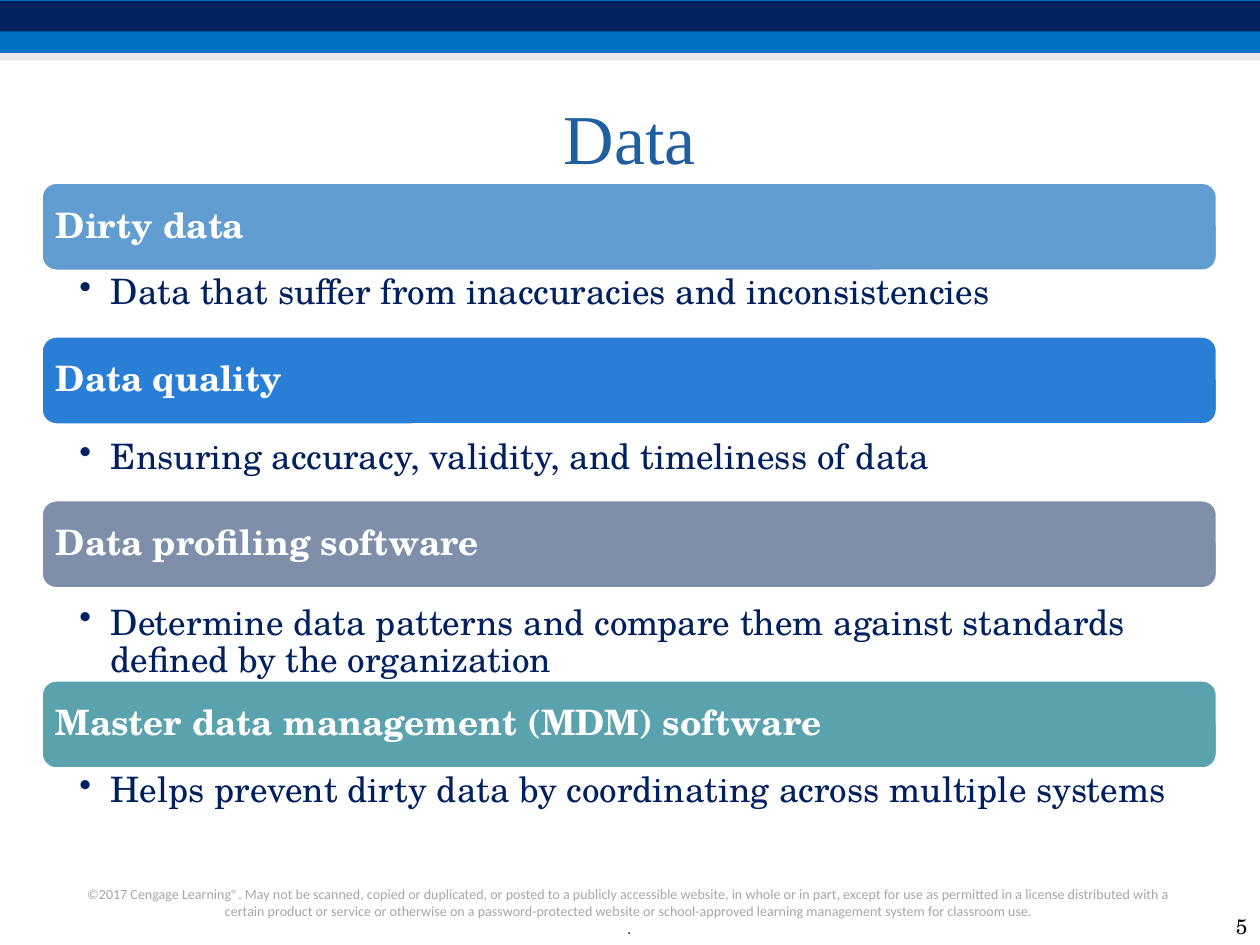
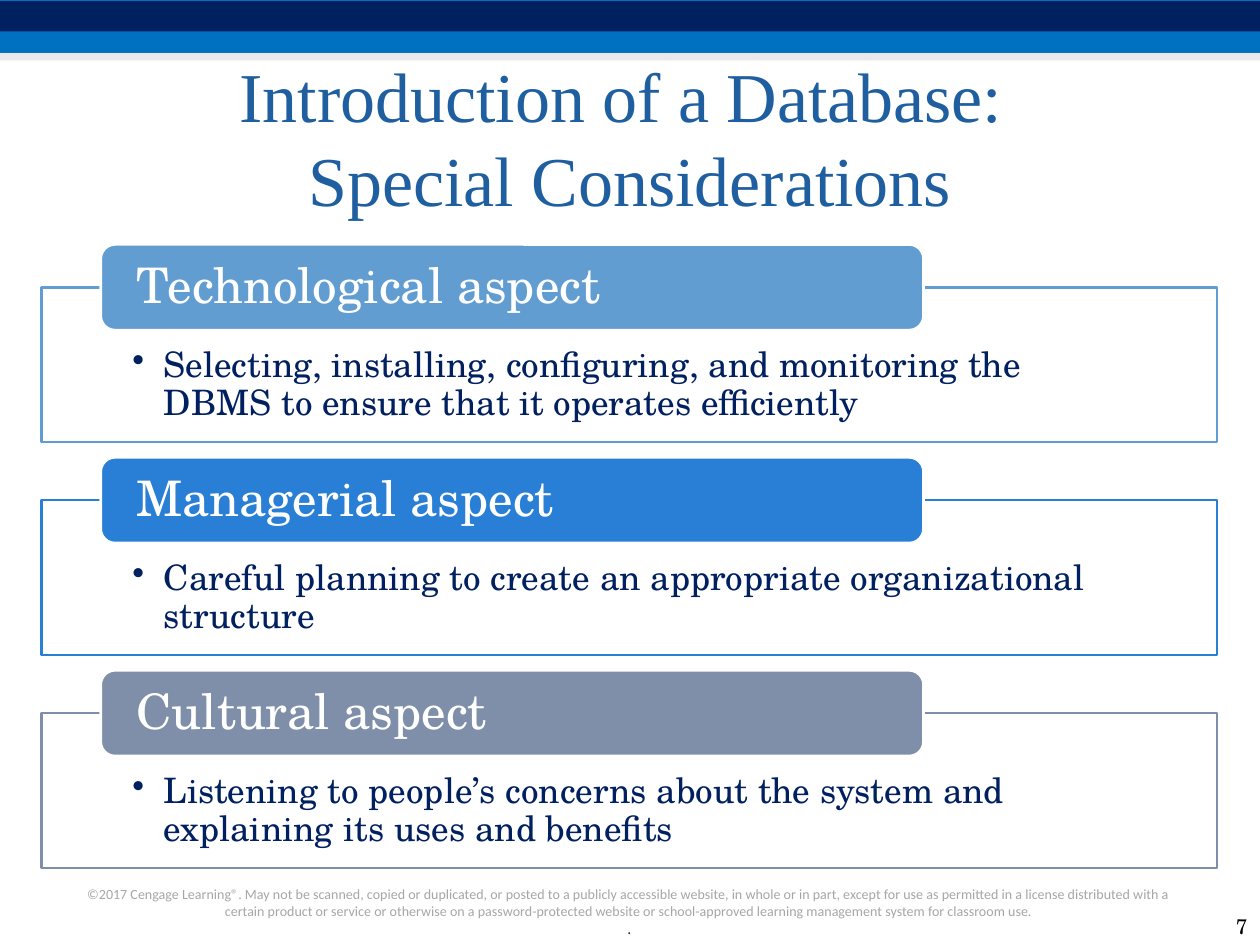
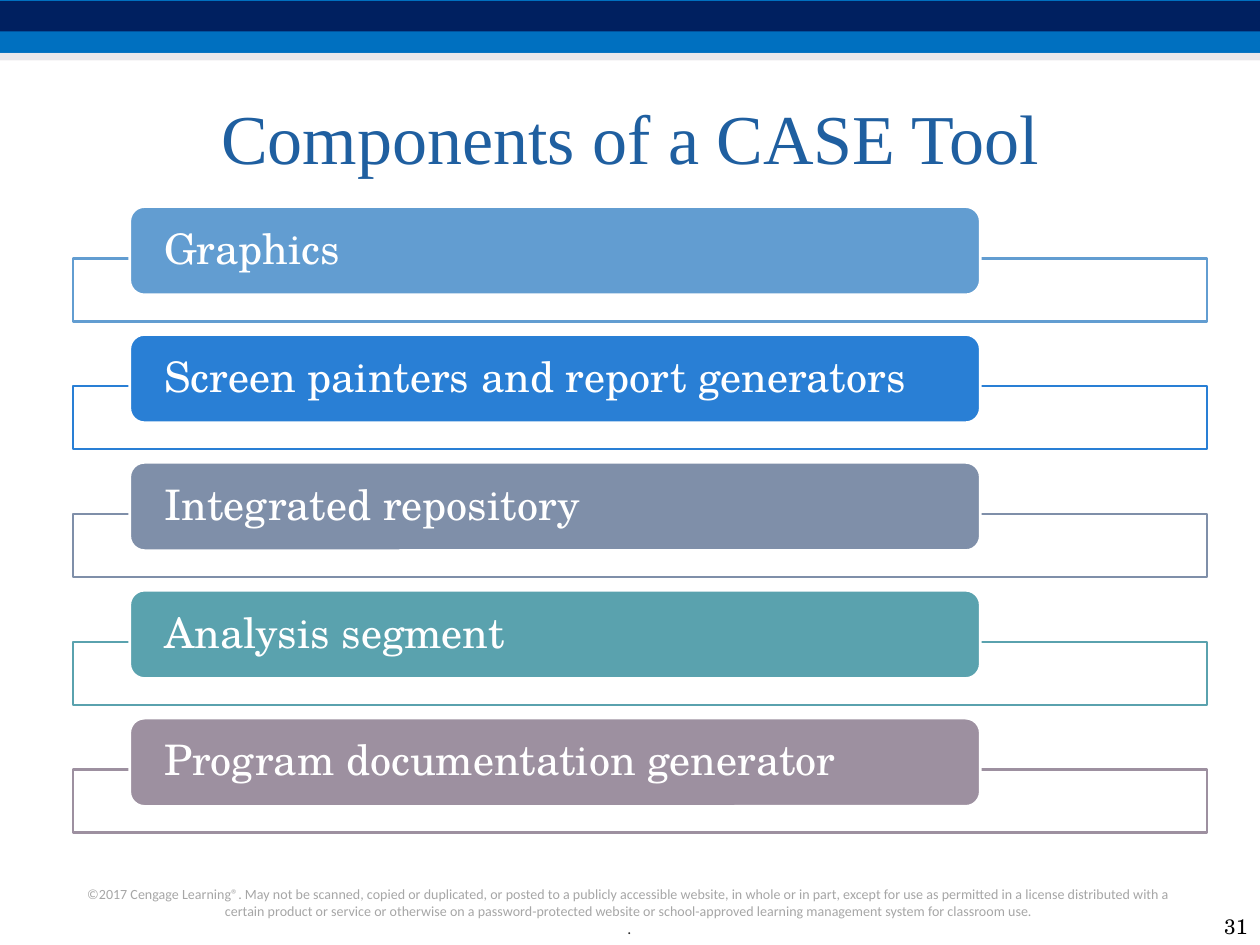
from dataclasses import dataclass

from lxml import etree
from pptx import Presentation
from pptx.dml.color import RGBColor
from pptx.enum.shapes import MSO_SHAPE as Preset
from pptx.enum.text import MSO_ANCHOR as Anchor, PP_ALIGN as Align
from pptx.oxml.ns import qn
from pptx.util import Emu, Inches, Pt


@dataclass(frozen=True)
class Theme:
    # Colours
    white: str = "FFFFFF"
    black: str = "000000"
    title: str = "1F5FA0"
    navy: str = "002060"
    blue: str = "0070C0"
    pale: str = "D8D3D9"
    notice: str = "A6A6A6"
    notice_end: str = "262626"
    accents: tuple = ("629DD1", "297FD5", "7F8FA9", "5AA2AE", "9D90A0")
    # Fonts
    title_font: str = "Times New Roman"
    body_font: str = "TeX Gyre Schola"
    notice_font: str = "Calibri"
    # Type sizes
    title_size: int = 40
    aspect_size: int = 28
    component_size: int = 24
    body_size: int = 20
    number_size: int = 12
    notice_end_size: int = 9
    notice_size: int = 8
    # Lines and spacing
    line_width: float = 1.5
    line_spacing: float = 0.9


THEME = Theme()
DEFAULT_MARGINS = (0.1, 0.05, 0.1, 0.05)

NOTICE = (
    "©2017 Cengage Learning®. May not be scanned, copied or duplicated, or posted to a "
    "publicly accessible website, in whole or in part, except for use as permitted in a "
    "license distributed with a certain product or service or otherwise on a "
    "password-protected website or school-approved learning management system for "
    "classroom use."
)

# Term, definition, top of the bar, top of the definition
DATA_TERMS = [
    ("Dirty data", "Data that suffer from inaccuracies and inconsistencies", 1.45, 2.15),
    ("Data quality", "Ensuring accuracy, validity, and timeliness of data", 2.67, 3.46),
    ("Data profiling software",
     "Determine data patterns and compare them against standards defined by the organization",
     3.97, 4.77),
    ("Master data management (MDM) software",
     "Helps prevent dirty data by coordinating across multiple systems", 5.4, 6.1),
]

ASPECTS = [
    ("Technological aspect",
     "Selecting, installing, configuring, and monitoring the DBMS to ensure that it "
     "operates efficiently"),
    ("Managerial aspect",
     "Careful planning to create an appropriate organizational structure"),
    ("Cultural aspect",
     "Listening to people’s concerns about the system and explaining its uses and benefits"),
]

COMPONENTS = [
    "Graphics",
    "Screen painters and report generators",
    "Integrated repository",
    "Analysis segment",
    "Program documentation generator",
]


# Basic elements
def format_runs(paragraph, size, color, font=THEME.body_font, bold=False):
    for run in paragraph.runs:
        run.font.name = font
        run.font.size = Pt(size)
        run.font.bold = bold
        run.font.color.rgb = RGBColor.from_string(color)


def set_frame(shape, text, margins=DEFAULT_MARGINS, anchor=Anchor.TOP, align=Align.LEFT):
    text_frame = shape.text_frame
    text_frame.word_wrap = True
    text_frame.vertical_anchor = anchor
    (text_frame.margin_left, text_frame.margin_top,
     text_frame.margin_right, text_frame.margin_bottom) = map(Inches, margins)
    text_frame.text = text
    for paragraph in text_frame.paragraphs:
        paragraph.alignment = align
    return text_frame.paragraphs


def add_text(slide, box, text, **frame_options):
    shape = slide.shapes.add_textbox(*map(Inches, box))
    return set_frame(shape, text, **frame_options)


def add_block(slide, box, fill, preset=Preset.RECTANGLE, line=None, opacity=None):
    shape = slide.shapes.add_shape(preset, *map(Inches, box))
    shape.shadow.inherit = False
    shape.fill.solid()
    shape.fill.fore_color.rgb = RGBColor.from_string(fill)
    if opacity is not None:
        color = shape.fill._xPr.find(".//" + qn("a:srgbClr"))
        etree.SubElement(color, qn("a:alpha"), val=str(opacity * 1000))
    if line:
        shape.line.color.rgb = RGBColor.from_string(line)
        shape.line.width = Pt(THEME.line_width)
    else:
        shape.line.fill.background()
    return shape


def make_bullet(paragraph):
    properties = paragraph._p.get_or_add_pPr()
    indent = Emu(Inches(0.25))
    properties.set("marL", str(indent))
    properties.set("indent", str(-indent))
    etree.SubElement(properties, qn("a:buChar"), char="•")
    paragraph.line_spacing = THEME.line_spacing
    format_runs(paragraph, THEME.body_size, THEME.navy)


# Elements of the content
def add_bar(slide, box, text, color, size, margins, bold=False):
    bar = add_block(slide, box, color, Preset.ROUNDED_RECTANGLE, THEME.white)
    paragraph = set_frame(bar, text, margins, Anchor.MIDDLE)[0]
    paragraph.line_spacing = THEME.line_spacing
    format_runs(paragraph, size, THEME.white, bold=bold)


def add_outline(slide, box, color):
    return add_block(slide, box, THEME.white, line=color, opacity=90)


def spread(first, last, count):
    step = (last - first) / (count - 1)
    return [first + step * index for index in range(count)]


# Bands, title, notice and number that every slide has
def add_base_slide(presentation, title, number):
    slide = presentation.slides.add_slide(presentation.slide_layouts[6])
    add_block(slide, (0, 0, 10, 0.42), THEME.blue)
    add_block(slide, (0, 0.01, 10, 0.24), THEME.navy)
    add_block(slide, (0, 0.42, 10, 0.06), THEME.pale, opacity=50)

    notice, end = add_text(slide, (0.58, 6.98, 8.83, 0.52), NOTICE + "\n.", align=Align.CENTER)
    format_runs(notice, THEME.notice_size, THEME.notice, THEME.notice_font)
    format_runs(end, THEME.notice_end_size, THEME.notice_end, THEME.notice_font)

    heading = add_text(slide, (0.5, 0.5, 9, 1.17), title,
                       anchor=Anchor.MIDDLE, align=Align.CENTER)[0]
    format_runs(heading, THEME.title_size, THEME.title, THEME.title_font)

    page = add_text(slide, (9.5, 7.17, 0.5, 0.33), str(number),
                    anchor=Anchor.BOTTOM, align=Align.RIGHT)[0]
    format_runs(page, THEME.number_size, THEME.black)
    return slide


# Slides
def build_data_slide(presentation):
    slide = add_base_slide(presentation, "Data", 5)
    for (term, definition, bar_top, text_top), color in zip(DATA_TERMS, THEME.accents):
        add_bar(slide, (0.33, bar_top, 9.33, 0.7), term, color, THEME.body_size,
                (0.08, 0.08, 0.08, 0.08), bold=True)
        paragraphs = add_text(slide, (0.33, text_top, 9.33, 0.62), definition,
                              margins=(0.3, 0.03, 0.16, 0.03))
        make_bullet(paragraphs[0])


def build_aspects_slide(presentation):
    slide = add_base_slide(
        presentation, "Introduction of a Database: \vSpecial Considerations", 7)
    tops = spread(2.28, 5.66, len(ASPECTS))
    for (aspect, detail), top, color in zip(ASPECTS, tops, THEME.accents):
        outline = add_outline(slide, (0.33, top, 9.33, 1.23), color)
        make_bullet(set_frame(outline, detail, (0.72, 0.48, 0.72, 0.16))[0])
        add_bar(slide, (0.8, top - 0.34, 6.53, 0.68), aspect, color,
                THEME.aspect_size, (0.25, 0, 0.25, 0))


def build_components_slide(presentation):
    slide = add_base_slide(presentation, "Components of a CASE Tool", 31)
    tops = spread(2.05, 6.11, len(COMPONENTS))
    for component, top, color in zip(COMPONENTS, tops, THEME.accents):
        add_outline(slide, (0.58, top, 9, 0.5), color)
        add_bar(slide, (1.03, top - 0.41, 6.75, 0.7), component, color,
                THEME.component_size, (0.24, 0, 0.24, 0))


def main():
    presentation = Presentation()
    presentation.slide_width = Inches(10)
    presentation.slide_height = Inches(7.5)
    build_data_slide(presentation)
    build_aspects_slide(presentation)
    build_components_slide(presentation)
    presentation.save("out.pptx")


if __name__ == "__main__":
    main()
